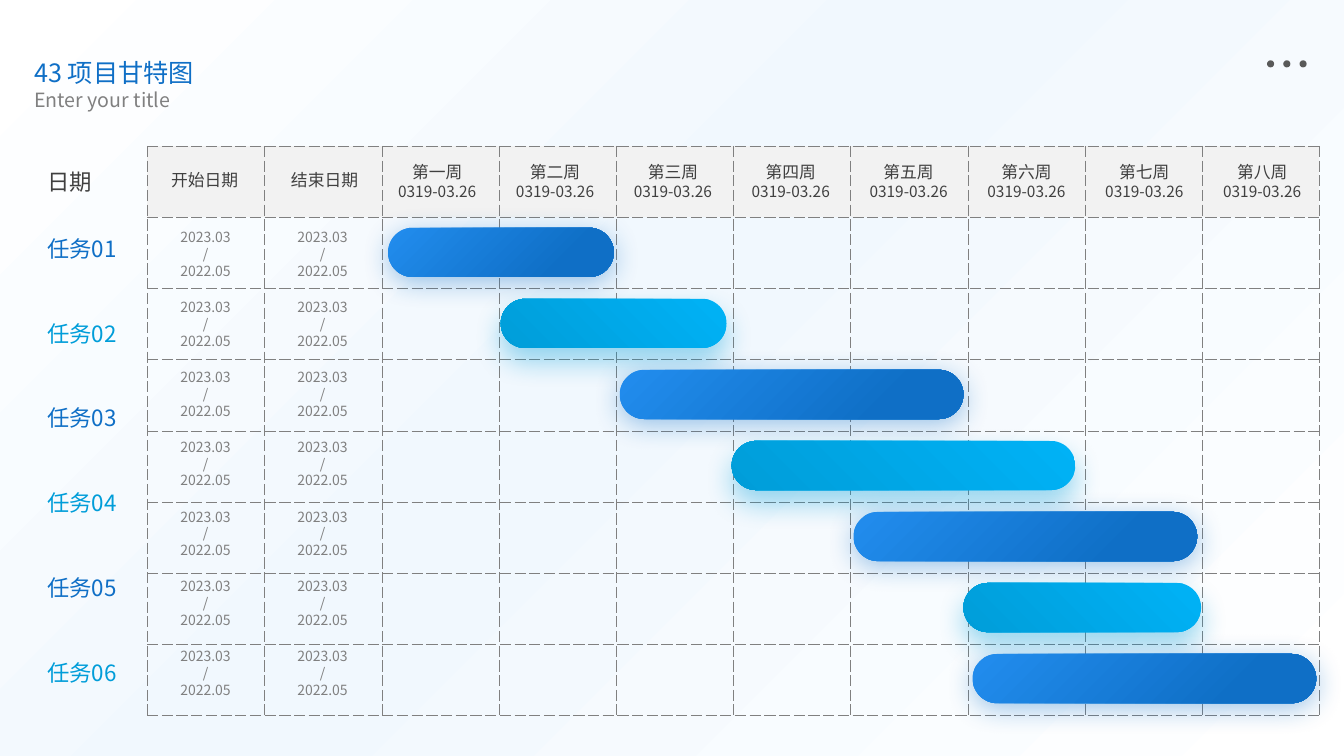
from dataclasses import dataclass
from lxml import etree
from pptx import Presentation
from pptx import util as u
from pptx.dml.color import RGBColor
from pptx.enum import shapes, text
from pptx.oxml import ns

TITLE = "43 项目甘特图"
SUB = "Enter your title"
CORNER = "日期"
TASKS = ["任务01", "任务02", "任务03", "任务04", "任务05", "任务06"]
HEADS = [("开始日期", 3.56), ("结束日期", 6.58)]
WEEKS = ["第一周", "第二周", "第三周", "第四周", "第五周", "第六周", "第七周", "第八周"]
SPAN = "0319-03.26"
DATES = ["2023.03", "/", "2022.05"]
DATE_X = [3.58, 6.53]
BARS = [(9.78, 5.69), (12.62, 5.69), (15.62, 8.66), (18.44, 8.66),
        (21.51, 8.66), (24.28, 5.99), (24.51, 8.66)]
ROWS, COLS = len(BARS) + 1, len(WEEKS) + 2


@dataclass(frozen=True)
class Theme:
    font: str = "Noto Sans CJK SC"
    blue: str = "0F6FC6"
    cyan: str = "009DD9"
    ink: str = "404040"
    gray: str = "808080"
    dot: str = "595959"
    head: str = "F2F2F2"
    title: int = 18
    sub: int = 14
    task: int = 16
    week: int = 12
    span: int = 11
    date: int = 10


T = Theme()
TONES = [T.blue, T.cyan]
SKY = ([(0, "FFFFFF"), (46, "F1F8FE"), (100, "FFFFFF")], (0, 0, 100, 100))
FADES = [([(23, T.blue), (100, "228DEE")], (100, 100, 0, 0)),
         ([(0, T.cyan), (100, "00B2F6")], (0, 100, 100, 0))]
DROPS = [4, 9.7]


def node(up, tag, **attrs):
    return etree.SubElement(up, ns.qn(tag), {k: str(v) for k, v in attrs.items()})


def tint(up, color):
    return node(node(up, "a:solidFill"), "a:srgbClr", val=color)


def write(frame, lines, align=text.PP_ALIGN.LEFT):
    frame.word_wrap = True
    frame.auto_size = text.MSO_AUTO_SIZE.NONE
    frame.vertical_anchor = text.MSO_ANCHOR.TOP
    for i, (words, size, color) in enumerate(lines):
        para = frame.paragraphs[0] if i == 0 else frame.add_paragraph()
        para.alignment = align
        para.space_before = u.Pt(0)
        run = para.add_run()
        run.text = words
        run.font.size = u.Pt(size)
        run.font.color.rgb = RGBColor.from_string(color)
        run.font.name = T.font
        node(run.font._element, "a:ea", typeface=T.font)


def place(shape, x, y, w, h):
    shape.left, shape.top = u.Cm(x), u.Cm(y)
    shape.width, shape.height = u.Cm(w), u.Cm(h)


def label(slide, box, lines, align=text.PP_ALIGN.CENTER):
    write(slide.shapes.add_textbox(*map(u.Cm, box)).text_frame, lines, align)


def draw(slide, kind, *box):
    shape = slide.shapes.add_shape(kind, *map(u.Cm, box))
    shape.shadow.inherit = False
    shape.line.fill.background()
    return shape


def fade(shape, stops, focus):
    shape.fill.background()
    props = shape.element.spPr
    grad = etree.Element(ns.qn("a:gradFill"), rotWithShape="1")
    ramp = node(grad, "a:gsLst")
    for pos, color in stops:
        node(node(ramp, "a:gs", pos=pos * 1000), "a:srgbClr", val=color)
    sides = {side: pct * 1000 for side, pct in zip("ltrb", focus)}
    node(node(grad, "a:path", path="circle"), "a:fillToRect", **sides)
    props.replace(props.find(ns.qn("a:noFill")), grad)


def glow(shape, color, drop):
    host = shape.element.spPr.find(ns.qn("a:effectLst"))
    cast = node(host, "a:outerShdw", blurRad=u.Pt(20), dist=u.Pt(drop),
                dir=5400000, algn="t", rotWithShape=0)
    node(node(cast, "a:srgbClr", val=color), "a:alpha", val=40000)


def grid(slide):
    box = map(u.Cm, (3.71, 3.68, 29.54, 14.35))
    table = slide.shapes.add_table(ROWS, COLS, *box).table
    table.first_row = table.horz_banding = False
    for r in range(ROWS):
        for c in range(COLS):
            cell = table.cell(r, c)
            props = cell._tc.get_or_add_tcPr()
            for side in "LRTB":
                line = node(props, "a:ln" + side, w=u.Pt(0.25))
                tint(line, T.gray)
                node(line, "a:prstDash", val="dash")
            if r == 0:
                cell.fill.solid()
                cell.fill.fore_color.rgb = RGBColor.from_string(T.head)
            else:
                cell.fill.background()


def header(slide):
    title, sub = slide.placeholders
    place(title, 0.61, 1.32, 9.83, 1.02)
    write(title.text_frame, [(TITLE, T.title, T.blue)])
    place(sub, 0.61, 2.08, 7.26, 0.86)
    write(sub.text_frame, [(SUB, T.sub, T.gray)])
    for i in range(3):
        dot = draw(slide, shapes.MSO_SHAPE.OVAL, 31.93 + 0.41 * i, 1.52, 0.18, 0.18)
        dot.fill.solid()
        dot.fill.fore_color.rgb = RGBColor.from_string(T.dot)


def labels(slide):
    left = text.PP_ALIGN.LEFT
    label(slide, (0.94, 4.11, 1.98, 0.94), [(CORNER, T.task, T.ink)], left)
    for i, task in enumerate(TASKS):
        label(slide, (0.94, 5.79 + 2.14 * i, 3.2, 0.94),
              [(task, T.task, TONES[i % 2])], left)
    for head, x in HEADS:
        label(slide, (x, 4.14, 3.2, 0.76), [(head, T.week, T.ink)])
    for i, week in enumerate(WEEKS):
        label(slide, (9.42 + 2.97 * i, 3.96, 3.2, 1.27),
              [(week, T.week, T.ink), (SPAN, T.span, T.ink)])
    for i in range(len(BARS)):
        for x in DATE_X:
            label(slide, (x, 5.64 + 1.76 * i, 3.2, 1.55),
                  [(part, T.date, T.gray) for part in DATES])


def bars(slide):
    for i, (x, w) in enumerate(BARS):
        bar = draw(slide, shapes.MSO_SHAPE.ROUNDED_RECTANGLE, x, 5.74 + 1.79 * i, w, 1.24)
        bar.adjustments[0] = 0.5
        fade(bar, *FADES[i % 2])
        glow(bar, TONES[i % 2], DROPS[i % 2])


def main():
    deck = Presentation()
    deck.slide_width, deck.slide_height = u.Cm(33.87), u.Cm(19.05)
    slide = deck.slides.add_slide(deck.slide_layouts[0])
    sky = draw(slide, shapes.MSO_SHAPE.RECTANGLE, -0.04, 0, 33.91, 19.05)
    fade(sky, *SKY)
    slide.shapes.title.element.addprevious(sky.element)
    header(slide)
    grid(slide)
    labels(slide)
    bars(slide)
    deck.save("out.pptx")


if __name__ == "__main__":
    main()
